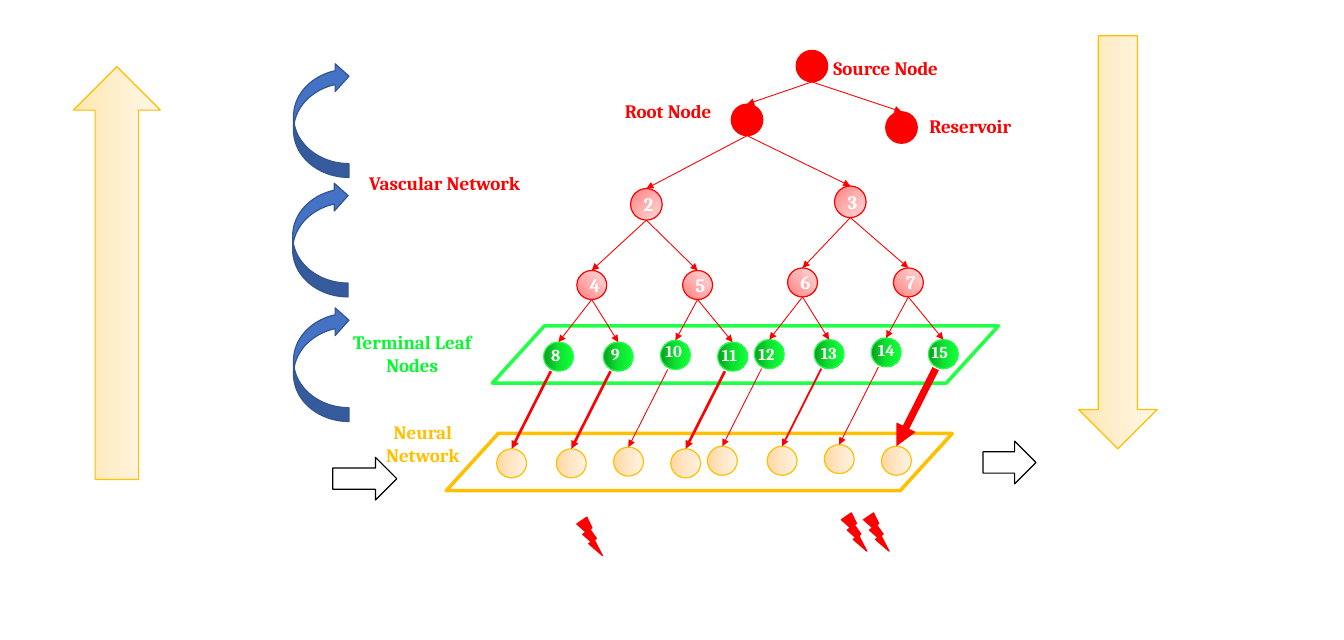
from copy import deepcopy
from dataclasses import dataclass

from lxml import etree
from pptx import Presentation
from pptx.dml.color import RGBColor
from pptx.enum.shapes import MSO_CONNECTOR, MSO_SHAPE
from pptx.enum.text import MSO_ANCHOR, PP_ALIGN
from pptx.oxml.ns import qn
from pptx.util import Inches, Pt

OVAL, SLANT, BOLT = MSO_SHAPE.OVAL, MSO_SHAPE.PARALLELOGRAM, MSO_SHAPE.LIGHTNING_BOLT
ARROW, CURVE = MSO_SHAPE.RIGHT_ARROW, MSO_SHAPE.CURVED_LEFT_ARROW
LEFT, CENTER, MIDDLE = PP_ALIGN.LEFT, PP_ALIGN.CENTER, MSO_ANCHOR.MIDDLE
STRAIGHT = MSO_CONNECTOR.STRAIGHT

COLORS = {
    "red": "FF0000", "green": "21FF46", "leaf": "08F830", "gold": "FFC000",
    "blue": "4472C4", "navy": "325491", "white": "FFFFFF", "black": "000000",
}
FADES = {
    "pink": ("FF7E7E", "FFB1B1", "FFD9D9"),
    "lime": ("099C21", "0DE230", "10FF3A"),
    "peach": ("FFD8A0", "FFE6C5", "FFF2E3"),
    "cream": ("FFE7AF", "FFEFCE", "FFF7E7"),
}


@dataclass
class Style:
    fill: str
    line: str
    angle: int = 0
    width: float = 1


@dataclass
class Node:
    name: str
    x: float
    y: float
    size: tuple
    style: Style
    parent: str = ""
    text: str = ""


@dataclass
class Leaf:
    name: str
    x: float
    y: float
    parent: str
    tag: tuple
    weight: float


@dataclass
class Label:
    text: str
    box: tuple
    color: str
    size: int = 16
    align: int = CENTER


@dataclass
class Figure:
    kind: int
    box: tuple
    style: Style
    turn: int = 0
    flips: str = ""


RED = Style("red", "red")
PINK, ROSE = Style("pink", "red", 45), Style("pink", "red", 315)
LIME, PEACH = Style("lime", "green"), Style("peach", "gold")
CREAM, BLUE = Style("cream", "gold", 270), Style("blue", "navy")
PLAIN = Style("white", "black")
BIG, SMALL = (0.37, 0.37), (0.35, 0.34)
SHIFT_X, SHIFT_Y, LEAN = -0.55, 1.25, 0.09  # leaf to neuron, and arrow start

NODES = [
    Node("source", 9.33, 0.59, BIG, RED),
    Node("root", 8.57, 1.22, BIG, RED, "source"),
    Node("store", 10.38, 1.31, BIG, RED, "source"),
    Node("2", 7.39, 2.21, BIG, PINK, "root", "2"),
    Node("3", 9.78, 2.18, BIG, PINK, "root", "3"),
    Node("4", 6.76, 3.17, SMALL, ROSE, "2", "4"),
    Node("5", 8.0, 3.17, SMALL, ROSE, "2", "5"),
    Node("6", 9.23, 3.14, SMALL, ROSE, "3", "6"),
    Node("7", 10.47, 3.14, SMALL, ROSE, "3", "7"),
]
LEAVES = [
    Leaf("8", 6.37, 4.01, "4", (6.36, 3.99), 2.25),
    Leaf("9", 7.07, 4.01, "4", (7.06, 3.98), 2.25),
    Leaf("10", 7.74, 3.99, "5", (7.7, 3.95), 0.75),
    Leaf("11", 8.41, 4.01, "5", (8.36, 3.99), 2.25),
    Leaf("12", 8.84, 3.98, "6", (8.79, 3.98), 0.75),
    Leaf("13", 9.54, 3.98, "6", (9.52, 3.97), 1.5),
    Leaf("14", 10.21, 3.96, "7", (10.19, 3.94), 0.75),
    Leaf("15", 10.88, 3.98, "7", (10.82, 3.96), 6),
]
LABELS = [
    Label("Source Node", (9.53, 0.61, 1.7, 0.37), "red"),
    Label("Root Node", (6.98, 1.12, 1.7, 0.37), "red"),
    Label("Reservoir", (10.52, 1.29, 1.7, 0.37), "red"),
    Label("Vascular Network", (4.12, 1.96, 2.18, 0.37), "red"),
    Label("Terminal Leaf Nodes", (4.02, 3.83, 1.62, 0.64), "leaf"),
    Label("Neural\nNetwork", (4.41, 4.88, 1.09, 0.64), "gold"),
]
PLANES = [
    Figure(SLANT, (5.77, 3.82, 5.93, 0.67), Style("", "green", width=3)),
    Figure(SLANT, (5.23, 5.08, 5.93, 0.67), Style("", "gold", width=3)),
]
FIGURES = [
    *(Figure(BOLT, (x, y, 0.3, 0.45), RED)
      for x, y in ((6.76, 6.06), (9.86, 6.01), (10.12, 6.01))),
    Figure(ARROW, (10.68, 2.38, 4.84, 0.92), CREAM, 90),
    Figure(ARROW, (-1.05, 2.69, 4.84, 1.02), CREAM, 90, "H"),
    Figure(ARROW, (11.52, 5.17, 0.62, 0.5), PLAIN),
    Figure(ARROW, (3.9, 5.36, 0.75, 0.5), PLAIN),
    *(Figure(CURVE, (x, y, 0.65, 1.35), BLUE, 0, "HV")
      for x, y in ((3.44, 0.73), (3.43, 2.13), (3.44, 3.59))),
]


def rgb(name: str) -> RGBColor:
    return RGBColor.from_string(COLORS[name])


def paint(shape, style: Style) -> None:
    fill = shape.fill
    if style.fill in FADES:
        fill.gradient()
        fill.gradient_angle = (360 - style.angle) % 360
        stops = shape.element.spPr.find(".//" + qn("a:gsLst"))
        stops.insert(1, deepcopy(stops[0]))
        for i, (stop, tone) in enumerate(zip(fill.gradient_stops, FADES[style.fill])):
            stop.position = i / 2
            stop.color.rgb = RGBColor.from_string(tone)
    elif style.fill:
        fill.solid()
        fill.fore_color.rgb = rgb(style.fill)
    else:
        fill.background()
    shape.line.color.rgb = rgb(style.line)
    shape.line.width = Pt(style.width)
    shape.shadow.inherit = False


def write(frame, text: str, color: str, size: int, align: int) -> None:
    frame.text = text
    form = {"name": "Cambria", "size": Pt(size), "bold": True}
    for para in frame.paragraphs:
        para.alignment = align
        for key, value in form.items():
            setattr(para.font, key, value)
        para.font.color.rgb = rgb(color)


def draw_figure(slide, fig: Figure):
    shape = slide.shapes.add_shape(fig.kind, *map(Inches, fig.box))
    paint(shape, fig.style)
    if fig.kind == SLANT:
        shape.adjustments[0] = 0.91
    shape.rotation = fig.turn
    for axis in fig.flips:
        shape.element.spPr.xfrm.set("flip" + axis, "1")
    return shape


def draw_node(slide, node: Node):
    shape = draw_figure(slide, Figure(OVAL, (node.x, node.y, *node.size), node.style))
    if node.text:
        write(shape.text_frame, node.text, "white", 16, CENTER)
        shape.text_frame.vertical_anchor = MIDDLE
    return shape


def draw_label(slide, label: Label) -> None:
    frame = slide.shapes.add_textbox(*map(Inches, label.box)).text_frame
    frame.word_wrap = True
    write(frame, label.text, label.color, label.size, label.align)


def draw_edge(slide, start, end, weight: float = 0.75, lean: float = 0) -> None:
    """Point an arrow from the foot of one circle to the top of another."""
    x = start.left + start.width // 2 - Inches(lean)
    y = start.top + start.height
    edge = slide.shapes.add_connector(STRAIGHT, x, y, end.left, end.top)
    edge.end_connect(end, 0)
    edge.line.color.rgb = rgb("red")
    edge.line.width = Pt(weight)
    props = edge.element.spPr
    etree.SubElement(props.find(qn("a:ln")), qn("a:tailEnd"), type="triangle")
    etree.SubElement(props, qn("a:effectLst"))


def main() -> None:
    deck = Presentation()
    deck.slide_width, deck.slide_height = Inches(15.75), Inches(7.5)
    slide = deck.slides.add_slide(deck.slide_layouts[6])
    for plane in PLANES:
        draw_figure(slide, plane)
    drawn = {}
    for node in NODES:
        drawn[node.name] = draw_node(slide, node)
        if node.parent:
            draw_edge(slide, drawn[node.parent], drawn[node.name])
    for leaf in LEAVES:
        shape = draw_node(slide, Node(leaf.name, leaf.x, leaf.y, SMALL, LIME))
        cell = draw_node(slide, Node("cell", leaf.x + SHIFT_X, leaf.y + SHIFT_Y, SMALL, PEACH))
        draw_edge(slide, drawn[leaf.parent], shape)
        draw_edge(slide, shape, cell, leaf.weight, LEAN)
        draw_label(slide, Label(leaf.name, (*leaf.tag, 0.65, 0.34), "white", 14, LEFT))
    for fig in FIGURES:
        draw_figure(slide, fig)
    for label in LABELS:
        draw_label(slide, label)
    deck.save("out.pptx")


if __name__ == "__main__":
    main()
